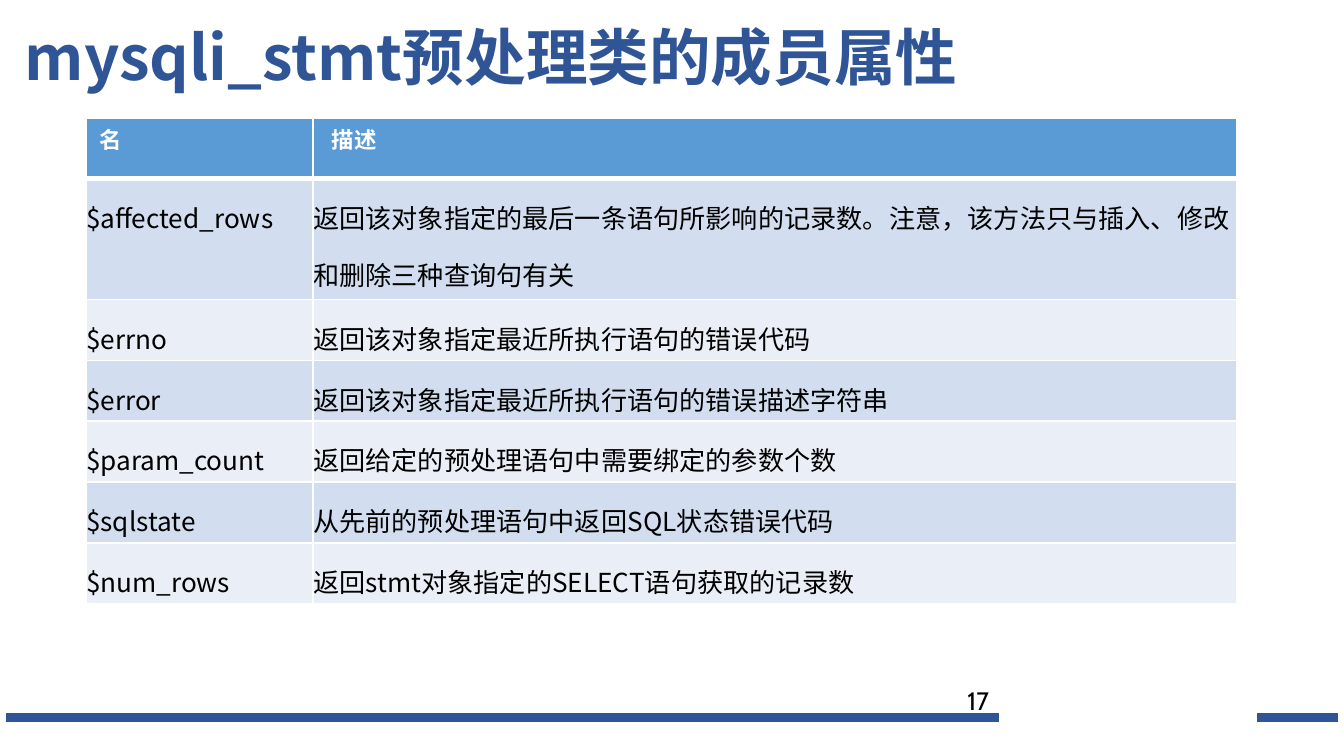
from pptx import Presentation
from pptx.dml.color import RGBColor as RGB
from pptx.enum.shapes import MSO_SHAPE as Shape
from pptx.enum.text import MSO_ANCHOR as Anchor, MSO_AUTO_SIZE as Fit, PP_ALIGN as Align
from pptx.oxml.ns import qn
from pptx.util import Pt
from lxml.etree import SubElement as Sub

PX = 2286
NAVY = RGB(0x2F, 0x55, 0x97)
BLUE = RGB(0x5B, 0x9B, 0xD5)
PALE = RGB(0xEA, 0xEF, 0xF7)
MIST = RGB(0xD2, 0xDE, 0xEF)
WHITE = RGB(0xFF, 0xFF, 0xFF)
BLACK = RGB(0, 0, 0)
SANS = "Noto Sans CJK SC"

ROWS = [
    ("名", " 描述"),
    ("$affected_rows", "返回该对象指定的最后一条语句所影响的记录数。注意，该方法只与插入、修改和删除三种查询句有关"),
    ("$errno", "返回该对象指定最近所执行语句的错误代码"),
    ("$error", "返回该对象指定最近所执行语句的错误描述字符串"),
    ("$param_count", "返回给定的预处理语句中需要绑定的参数个数"),
    ("$sqlstate", "从先前的预处理语句中返回SQL状态错误代码"),
    ("$num_rows", "返回stmt对象指定的SELECT语句获取的记录数"),
]


def px(*nums):
    return [n * PX for n in nums]


def write(frame, text, size=14, color=BLACK, bold=False, font=SANS, space=None):
    frame.word_wrap = True
    para = frame.paragraphs[0]
    para.alignment = Align.LEFT
    if space:
        para.line_spacing = space
    run = para.add_run()
    run.text = text
    face = run.font
    face.size, face.bold, face.name = Pt(size), bold, font
    face.color.rgb = color
    Sub(run._r.get_or_add_rPr(), qn("a:ea"), typeface=font)


class Deck:
    def __init__(self, wide, high):
        self.show = Presentation()
        self.show.slide_width, self.show.slide_height = px(wide, high)
        self.slide = self.show.slides.add_slide(self.show.slide_layouts[5])
        self.shapes = self.slide.shapes

    def title(self, text, *box):
        head = self.shapes.title
        head.left, head.top, head.width, head.height = px(*box)
        frame = head.text_frame
        frame.auto_size = Fit.NONE
        frame.vertical_anchor = Anchor.MIDDLE
        write(frame, text, size=33, color=NAVY, bold=True, space=0.9)

    def bar(self, *box):
        bar = self.shapes.add_shape(Shape.RECTANGLE, *px(*box))
        bar.shadow.inherit = False
        bar.fill.solid()
        bar.fill.fore_color.rgb = NAVY
        bar.line.color.rgb = NAVY
        bar.line.width = Pt(1)
        Sub(bar.line._get_or_add_ln(), qn("a:miter"), lim="800000")

    def text(self, text, *box, **style):
        write(self.shapes.add_textbox(*px(*box)).text_frame, text, **style)

    def edge(self, cell, **sides):
        props = cell._tc.get_or_add_tcPr()
        for side, width in sides.items():
            line = Sub(props, qn("a:ln" + side), w=str(Pt(width)))
            fill = Sub(line, qn("a:solidFill"))
            Sub(fill, qn("a:srgbClr"), val=str(WHITE))

    def cell(self, cell, text, row):
        self.edge(cell, L=1, R=1, T=3 if row == 1 else 1, B=3 if row == 0 else 1)
        cell.fill.solid()
        if row == 0:
            cell.fill.fore_color.rgb = BLUE
            write(cell.text_frame, text, size=12, color=WHITE, bold=True, space=Pt(16))
            return
        cell.fill.fore_color.rgb = MIST if row % 2 else PALE
        cell.margin_left = cell.margin_right = 0
        cell.margin_top = cell.margin_bottom = 0
        write(cell.text_frame, text, space=1.5)

    def table(self, rows, cols, highs, left, top):
        box = px(left, top, sum(cols), sum(highs))
        grid = self.shapes.add_table(len(rows), len(cols), *box).table
        for col, wide in zip(grid.columns, px(*cols)):
            col.width = wide
        for row, high in zip(grid.rows, px(*highs)):
            row.height = high
        for r, texts in enumerate(rows):
            for c, text in enumerate(texts):
                self.cell(grid.cell(r, c), text, r)


def main():
    deck = Deck(4000, 2250)
    deck.bar(20, 2124, 2952, 24)
    deck.bar(3744, 2124, 236, 24)
    deck.table(ROWS, [676, 2748], [180, 360] + [181] * 5, 256, 352)
    deck.title(" mysqli_stmt预处理类的成员属性", -8, -38, 3448, 436)
    deck.text("17", 2840, 2020, 932, 120, size=13.5, font="Cabin")
    deck.show.save("out.pptx")


if __name__ == "__main__":
    main()
